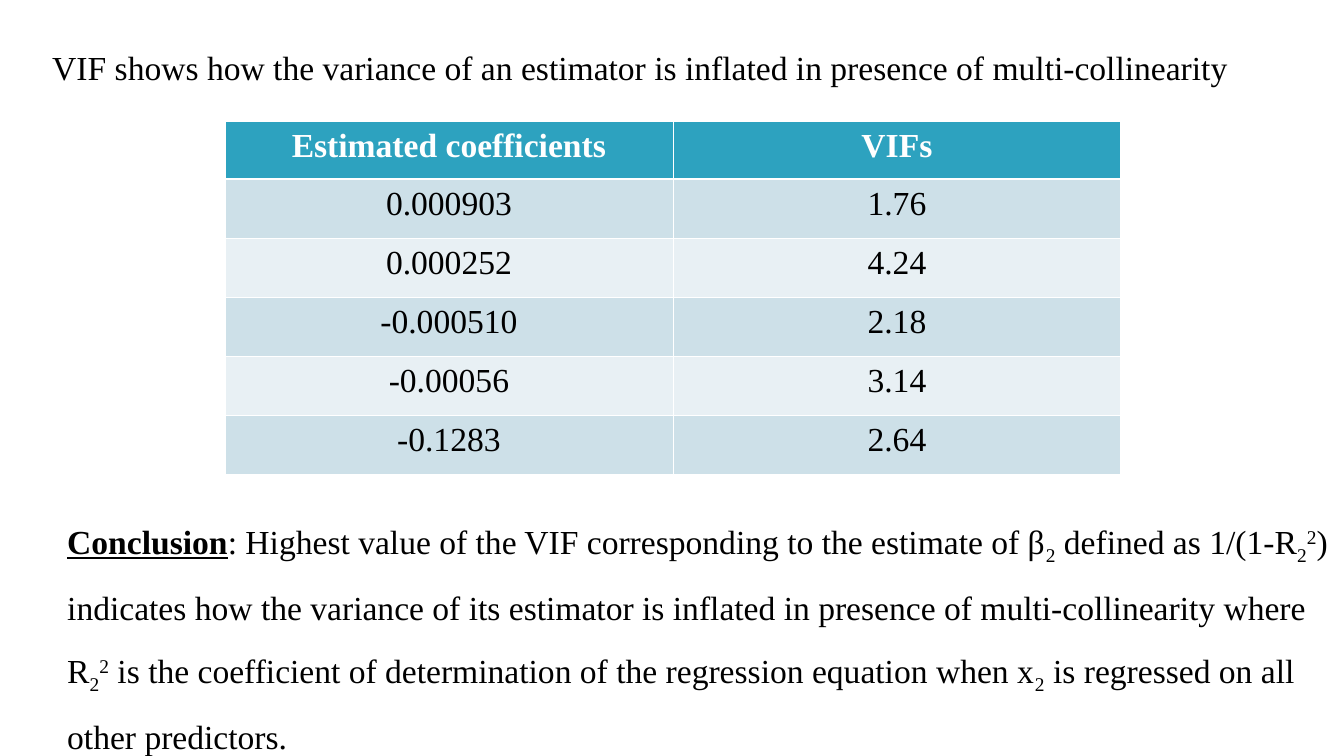
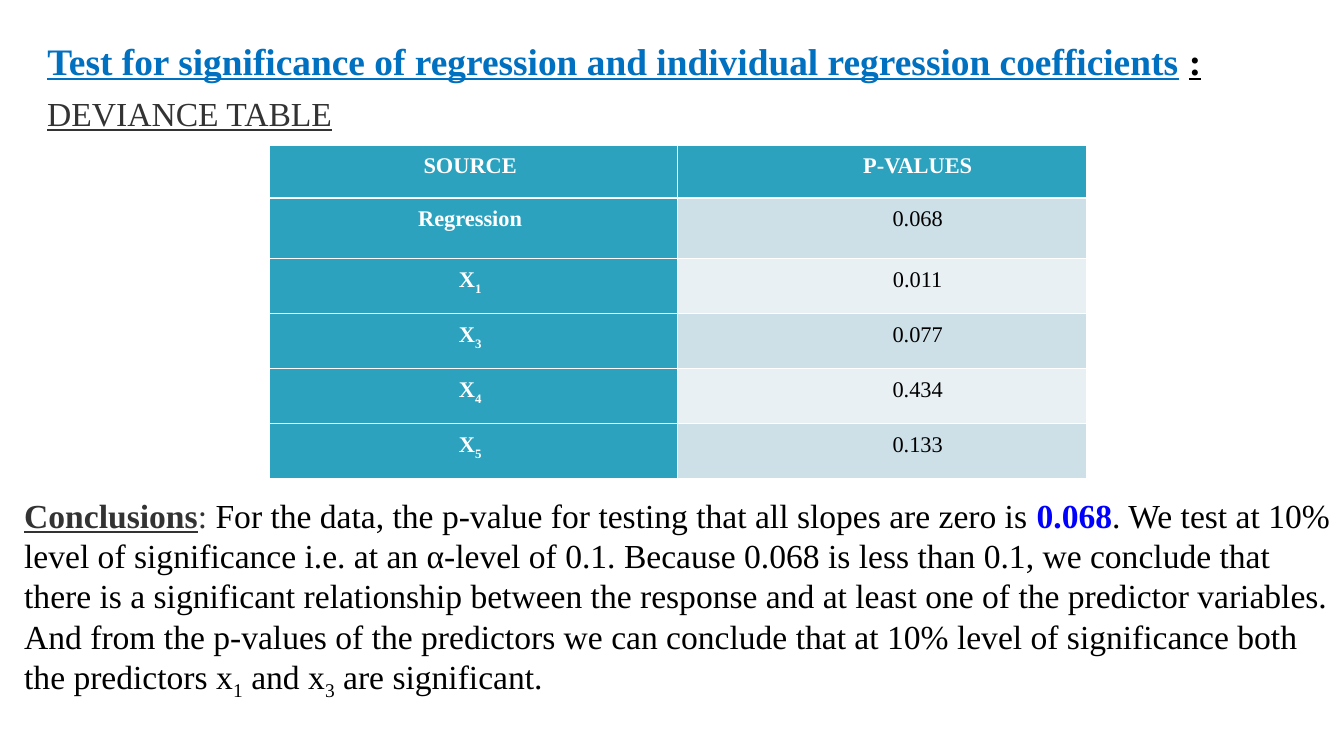
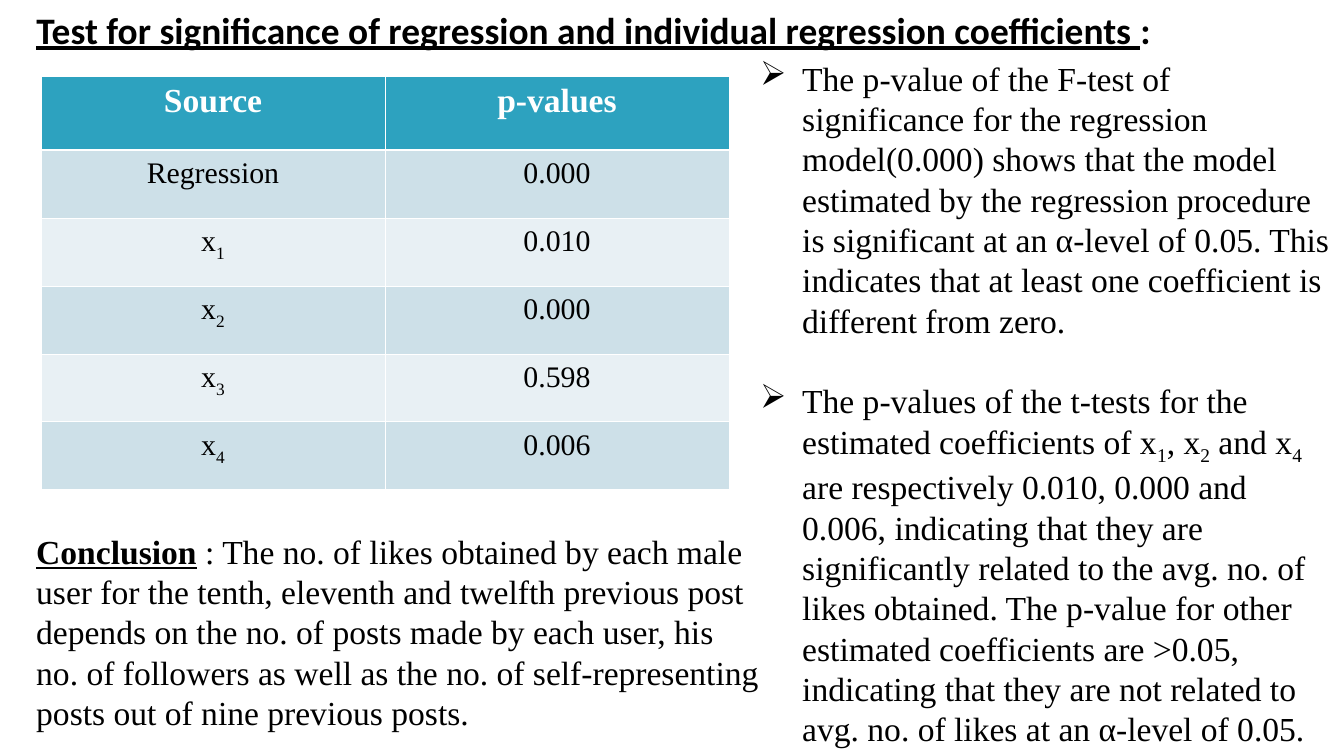
from lxml.etree import SubElement
from pptx import Presentation
from pptx.dml.color import RGBColor
from pptx.enum.text import MSO_ANCHOR, MSO_AUTO_SIZE, PP_ALIGN
from pptx.oxml.ns import qn
from pptx.util import Emu, Pt

PAGE = (0, 0, 1344, 756)
TITLE_ONLY, BLANK = 5, 6
SERIF, SANS = "Times New Roman", "Calibri"
COLORS = {
    "text": "000000", "grey": "333333", "title": "0070C0", "value": "0000FF",
    "white": "FFFFFF", "head": "2DA2BF", "band": "CDE0E8", "light": "E8F0F4",
}
# Run styles, used as (text, style name)
STYLES = {
    "sub": {"baseline": -25000},
    "sup": {"baseline": 30000},
    "lead": {"bold": True, "underline": True},
    "grey lead": {"bold": True, "underline": True, "color": "grey"},
    "grey": {"color": "grey"},
    "grey line": {"underline": True, "color": "grey"},
    "value": {"bold": True, "color": "value"},
    "blue title": {"bold": True, "underline": True, "color": "title"},
    "bold": {"bold": True},
}
TITLE = "Test for significance of regression and individual regression coefficients"


def px(n):
    return Emu(round(n * 914400 / 134.4))


def rgb(name):
    return RGBColor.from_string(COLORS[name])


def within(box, x, y, w, h):
    return box[0] + x, box[1] + y, w, h


# Text
def add_runs(p, runs, size=18, font=SERIF, color="text", bold=False):
    for run in runs:
        text, style = (run, {}) if isinstance(run, str) else (run[0], STYLES[run[1]])
        r = p.add_run()
        r.text = text
        r.font.name, r.font.size = font, Pt(size)
        r.font.bold = style.get("bold", bold)
        r.font.underline = style.get("underline", False)
        r.font.color.rgb = rgb(style.get("color", color))
        if "baseline" in style:
            r.font._element.set("baseline", str(style["baseline"]))


def add_bullet(p, indent=42):
    pPr = p._p.get_or_add_pPr()
    pPr.set("marL", str(px(indent)))
    pPr.set("indent", str(-px(indent)))
    clr = SubElement(pPr, qn("a:buClr"))
    SubElement(clr, qn("a:srgbClr")).set("val", COLORS["text"])
    SubElement(pPr, qn("a:buChar")).set("char", "➢")


def add_text(s, box, paragraphs, wrap=True, spacing=None, bullets=False, gap=0):
    tf = s.shapes.add_textbox(*map(px, box)).text_frame
    tf.word_wrap = wrap
    tf.auto_size = MSO_AUTO_SIZE.SHAPE_TO_FIT_TEXT
    for i, runs in enumerate(paragraphs):
        p = tf.add_paragraph() if i else tf.paragraphs[0]
        if bullets:
            add_bullet(p)
        if spacing:
            p.line_spacing = spacing
        if i:
            p.space_before = Pt(gap)
        add_runs(p, runs)


def set_title(s, box, runs, font):
    sp = s.shapes.title
    sp.left, sp.top, sp.width, sp.height = map(px, box)
    tf = sp.text_frame
    tf.word_wrap = True
    tf.auto_size = MSO_AUTO_SIZE.NONE
    tf.vertical_anchor = MSO_ANCHOR.TOP
    p = tf.paragraphs[0]
    p.alignment = PP_ALIGN.LEFT
    add_runs(p, runs, 20, font)


# Table
def set_borders(cell, row):
    tcPr = cell._tc.get_or_add_tcPr()
    thick = {"lnB": row == 0, "lnT": row == 1}
    for i, side in enumerate(("lnL", "lnR", "lnT", "lnB")):
        ln = tcPr.makeelement(qn(f"a:{side}"), {"w": str(Pt(1.5 if thick.get(side) else 0.5))})
        fill = SubElement(ln, qn("a:solidFill"))
        SubElement(fill, qn("a:srgbClr")).set("val", COLORS["white"])
        tcPr.insert(i, ln)


def add_table(s, box, rows, heights, head_size=18, size=18, head_column=False,
              margins=((13, 13), (13, 13)), spacing=1.0):
    table = s.shapes.add_table(len(rows), 2, *map(px, box)).table
    for i, (row, height) in enumerate(zip(rows, heights)):
        table.rows[i].height = px(height)
        for j, runs in enumerate(row):
            head = i == 0 or (head_column and j == 0)
            cell = table.cell(i, j)
            cell.fill.solid()
            cell.fill.fore_color.rgb = rgb("head" if head else "band" if i % 2 else "light")
            set_borders(cell, i)
            cell.margin_left, cell.margin_right = map(px, margins[j])
            cell.margin_top = cell.margin_bottom = px(7)
            p = cell.text_frame.paragraphs[0]
            p.alignment = PP_ALIGN.CENTER
            p.line_spacing = spacing
            add_runs(p, runs, size if i else head_size,
                     color="white" if head else "text", bold=head)


def var(letter, n):
    return [letter, (str(n), "sub")]


# Slides
def vif_slide(prs, box):
    s = prs.slides.add_slide(prs.slide_layouts[BLANK])
    add_text(s, within(box, 39, 20, 1254, 74), [
        ["VIF shows how the variance of an estimator is inflated in presence of multi-collinearity"],
    ], spacing=1.5)
    add_text(s, within(box, 54, 491, 1288, 273), [[
        ("Conclusion", "lead"),
        ": Highest value of the VIF corresponding to the estimate of ", *var("β", 2),
        " defined as 1/(1-", *var("R", 2), ("2", "sup"),
        ") indicates how the variance of its estimator is inflated in presence of "
        "multi-collinearity where ", *var("R", 2), ("2", "sup"),
        " is the coefficient of determination of the regression equation when ", *var("x", 2),
        " is regressed on all other predictors.",
    ]], spacing=1.5)
    rows = [("Estimated coefficients", "VIFs"), ("0.000903", "1.76"), ("0.000252", "4.24"),
            ("-0.000510", "2.18"), ("-0.00056", "3.14"), ("-0.1283", "2.64")]
    add_table(s, within(box, 225, 121, 896, 351), [[[a], [b]] for a, b in rows],
              [58] + [59] * 5)


def deviance_slide(prs, box):
    s = prs.slides.add_slide(prs.slide_layouts[TITLE_ONLY])
    set_title(s, within(box, 34, 31, 1254, 59),
              [(TITLE, "blue title"), " ", (":", "lead")], SERIF)
    add_text(s, within(box, 34, 86, 314, 54), [[("DEVIANCE TABLE", "grey line")]], wrap=False)
    p_values = {1: "0.011", 3: "0.077", 4: "0.434", 5: "0.133"}
    rows = [[["SOURCE"], ["P-VALUES"]], [["Regression"], ["0.068"]]]
    rows += [[var("X", n), [value]] for n, value in p_values.items()]
    add_table(s, within(box, 269, 145, 817, 333), rows, [53, 61] + [55] * 4,
              head_size=12, size=12, head_column=True,
              margins=((11, 17), (83, 11)), spacing=1.07)
    add_text(s, within(box, 11, 488, 1333, 262), [
        [("Conclusions", "grey lead"), (": ", "grey"),
         "For the data, the p-value for testing that all slopes are zero is ",
         ("0.068", "value"),
         ". We test at 10% level of significance i.e. at an α-level of 0.1. Because 0.068 is "
         "less than 0.1, we conclude that there is a significant relationship between the "
         "response and at least one of the predictor variables."],
        ["And from the p-values of the predictors we can conclude that at 10% level of "
         "significance both the predictors ", *var("x", 1), " and ", *var("x", 3),
         " are significant."],
    ])


def likes_slide(prs, box):
    s = prs.slides.add_slide(prs.slide_layouts[TITLE_ONLY])
    set_title(s, within(box, 23, 0, 1288, 103), [(TITLE + " ", "lead"), (":", "bold")], SANS)
    rows = [[["Source"], ["p-values"]], [["Regression"], ["0.000"]]]
    rows += [[var("x", n), [value]]
             for n, value in enumerate(("0.010", "0.000", "0.598", "0.006"), 1)]
    add_table(s, within(box, 41, 76, 688, 414), rows, [74] + [68] * 5, size=16)
    add_text(s, within(box, 747, 51, 597, 704), [
        ["The p-value of the F-test of significance for the regression model(0.000) shows that "
         "the model estimated by the regression procedure is significant at an α-level of 0.05. "
         "This indicates that at least one coefficient is different from zero."],
        ["The p-values of the t-tests for the estimated coefficients of ", *var("x", 1),
         ", ", *var("x", 2), " and ", *var("x", 4),
         " are respectively 0.010, 0.000 and 0.006, indicating that they are significantly "
         "related to the avg. no. of likes obtained. The p-value for other estimated "
         "coefficients are >0.05, indicating that they are not related to avg. no. of likes "
         "at an α-level of 0.05."],
    ], bullets=True, gap=21.6)
    add_text(s, within(box, 23, 524, 750, 215), [[
        ("Conclusion", "lead"),
        " : The no. of likes obtained by each male user for the tenth, eleventh and twelfth "
        "previous post depends on the no. of posts made by each user, his no. of followers as "
        "well as the no. of self-representing posts out of nine previous posts.",
    ]])


def main():
    prs = Presentation()
    prs.slide_width, prs.slide_height = map(px, PAGE[2:])
    for build in (vif_slide, deviance_slide, likes_slide):
        build(prs, PAGE)
    prs.save("out.pptx")


if __name__ == "__main__":
    main()
